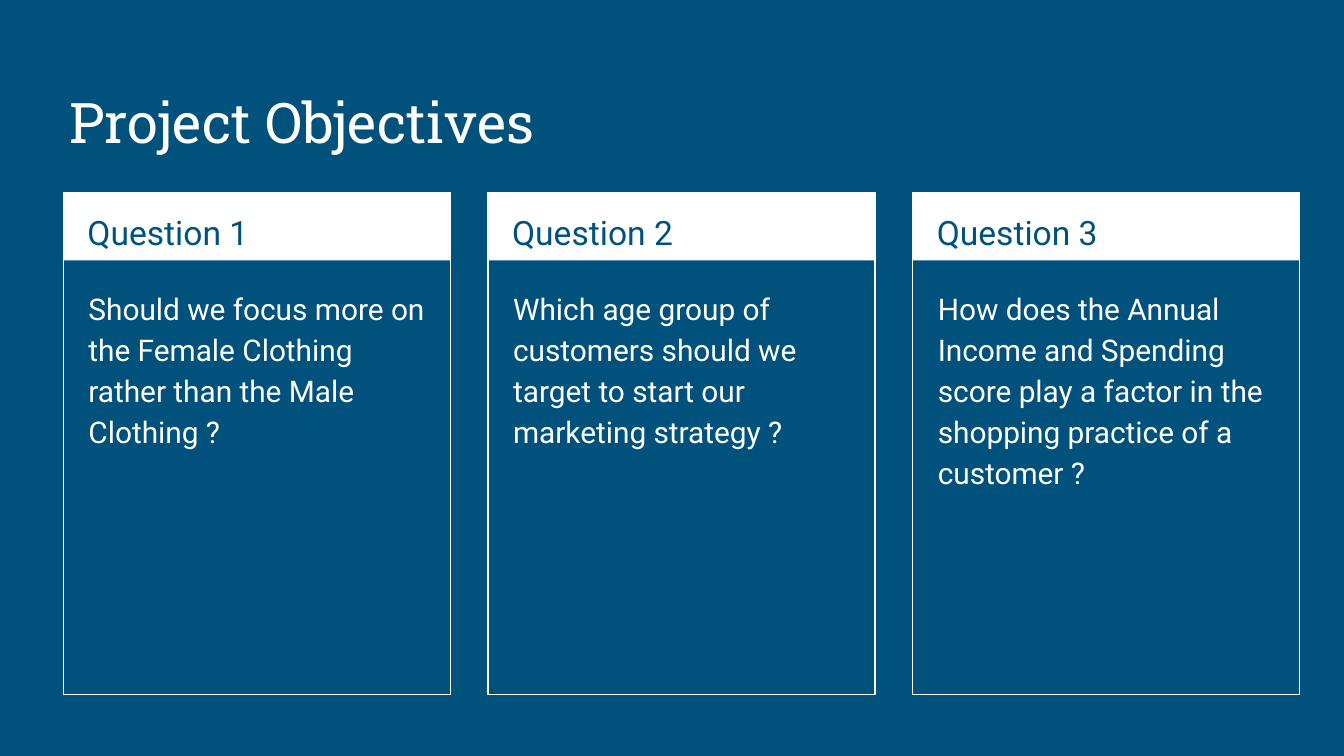
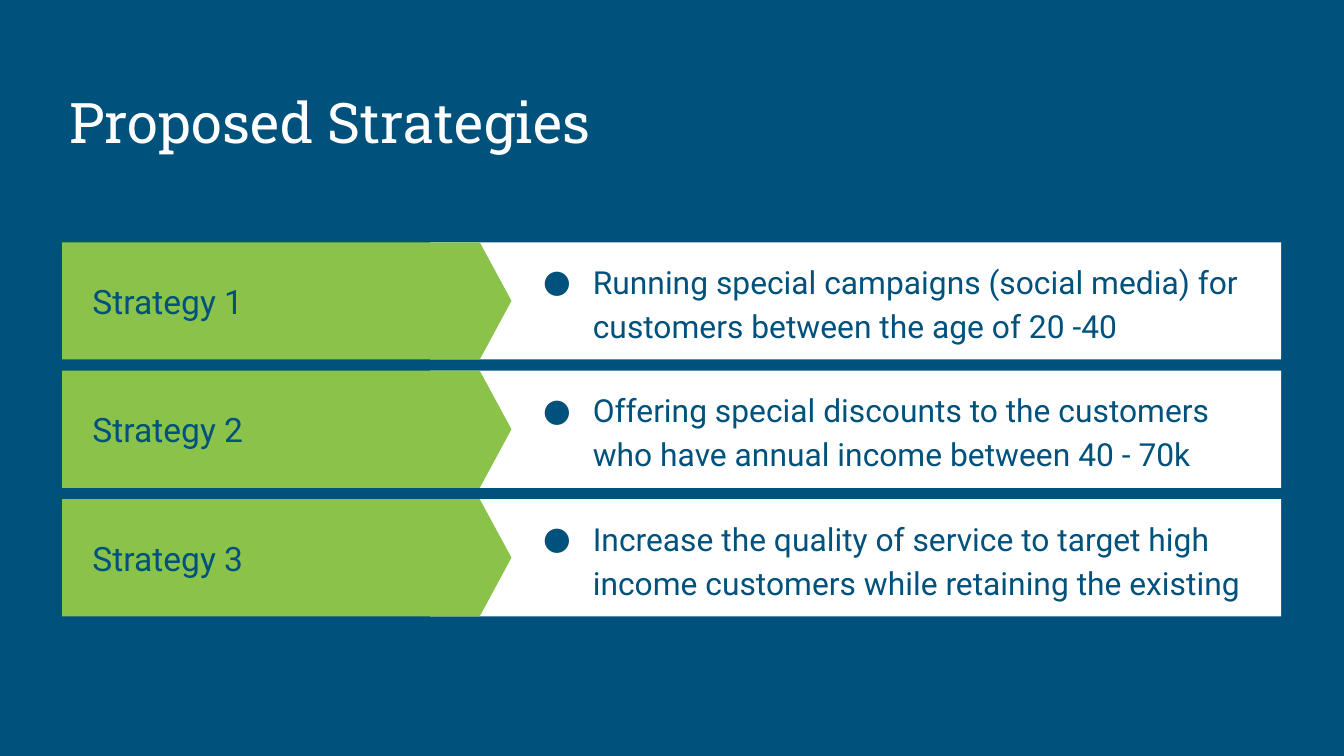
from lxml import etree
from pptx import Presentation
from pptx import util as u
from pptx.dml.color import RGBColor
from pptx.enum import shapes, text
from pptx.oxml import ns

Pt = u.Pt
NAVY, WHITE, GREEN = "00517C", "FFFFFF", "8BC34A"
HEAD_FONT, BODY_FONT = "Roboto Slab", "Roboto"
TOP, MIDDLE, BOTTOM = (text.MSO_ANCHOR.TOP, text.MSO_ANCHOR.MIDDLE,
                       text.MSO_ANCHOR.BOTTOM)


def rgb(value):
    return RGBColor.from_string(value)


class Deck:
    """Holds the shared style and the slide being built."""

    def __init__(self):
        self.prs = Presentation()
        self.prs.slide_width, self.prs.slide_height = Pt(720), Pt(405)
        fill = self.prs.slide_master.background.fill
        fill.solid()
        fill.fore_color.rgb = rgb(NAVY)

    def new_slide(self, title):
        layout = self.prs.slide_layouts.get_by_name("Comparison")
        self.s = self.prs.slides.add_slide(layout)
        self.bodies = [ph for ph in self.s.placeholders
                       if ph.placeholder_format.idx > 0]
        self.set_text(self.s.shapes.title, (30, 36, 659, 54), title, 30, WHITE,
                      font=HEAD_FONT, anchor=BOTTOM)

    def set_text(self, sp, box, words, size, color, font=BODY_FONT, anchor=TOP,
                 spacing=1.0, after=0, bullet=False):
        sp.left, sp.top, sp.width, sp.height = map(Pt, box)
        tf = sp.text_frame
        tf.word_wrap = True
        tf.auto_size = text.MSO_AUTO_SIZE.NONE
        tf.vertical_anchor = anchor
        tf.margin_left = tf.margin_right = Pt(7.2)
        tf.margin_top = tf.margin_bottom = Pt(7.2)
        p = tf.paragraphs[0]
        p.alignment = text.PP_ALIGN.LEFT
        p.line_spacing = spacing
        p.space_before, p.space_after = Pt(0), Pt(after)
        self.set_bullet(p, bullet, color)
        r = p.add_run()
        r.text = words
        r.font.name, r.font.size, r.font.bold = font, Pt(size), False
        r.font.color.rgb = rgb(color)

    def set_bullet(self, p, bullet, color):
        pPr = p._p.get_or_add_pPr()
        pPr.set("marL", str(Pt(36 if bullet else 0)))
        pPr.set("indent", str(Pt(-26.6 if bullet else 0)))
        if bullet:
            clr = etree.SubElement(pPr, ns.qn("a:buClr"))
            etree.SubElement(clr, ns.qn("a:srgbClr"), val=color)
            etree.SubElement(pPr, ns.qn("a:buFont"), typeface=BODY_FONT)
            etree.SubElement(pPr, ns.qn("a:buChar"), char="●")
        else:
            etree.SubElement(pPr, ns.qn("a:buNone"))

    def label(self, box, words, **style):
        sp = self.s.shapes.add_textbox(*map(Pt, box))
        self.set_text(sp, box, words, 18, NAVY, **style)

    def body(self, box, words, size, color, **style):
        sp = self.bodies.pop(0)
        sp.element.getparent().append(sp.element)  # bring to front
        self.set_text(sp, box, words, size, color, spacing=1.15, **style)

    def group(self):
        return self.s.shapes.add_group_shape()

    def shape(self, group, kind, box, fill=None, line=None):
        sp = group.shapes.add_shape(kind, *map(Pt, box))
        sp.shadow.inherit = False
        if fill:
            sp.fill.solid()
            sp.fill.fore_color.rgb = rgb(fill)
        else:
            sp.fill.background()
        if line:
            sp.line.color.rgb = rgb(line)
            sp.line.width = Pt(0.75)
        else:
            sp.line.fill.background()
        return sp

    def drop_unused(self):
        for ph in self.bodies:
            ph.element.getparent().remove(ph.element)


def objectives(deck):
    rect = shapes.MSO_SHAPE.RECTANGLE
    questions = [
        "Should we focus more on the Female Clothing rather than the Male Clothing ?",
        "Which age group of customers should we target to start our marketing strategy ?",
        "How does the Annual Income and Spending score play a factor in the shopping "
        "practice of a customer ?",
    ]
    top, width, pitch = 103, 207.3, 227.5
    deck.new_slide("Project Objectives")
    for i, question in enumerate(questions):
        x = 34 + i * pitch
        # Card: header band and frame
        card = deck.group()
        deck.shape(card, rect, (x, top, width, 36.5), fill=WHITE)
        deck.shape(card, rect, (x, top, width, 269), line=WHITE)
        # Card text
        deck.label((x + 5.8, top, 196.5, 36), f"Question {i + 1}", spacing=1.15)
        deck.body((x + 6.2, 145.5, 195, 220.5), question, 16, WHITE, after=12)
    deck.drop_unused()


def strategies(deck):
    kinds = shapes.MSO_SHAPE
    actions = [
        "Running special campaigns (social media) for customers between the age of 20 -40",
        "Offering special discounts to the customers who have annual income between 40 - 70k",
        "Increase the quality of service to target high income customers while retaining "
        "the existing",
    ]
    height, pitch = 62.8, 68.8
    deck.new_slide("Proposed Strategies")
    for i, action in enumerate(actions):
        y = 129.8 + i * pitch
        # Row: white bar under a green arrow
        row = deck.group()
        deck.shape(row, kinds.RECTANGLE, (230.4, y, 456, height), fill=WHITE)
        arrow = deck.shape(row, kinds.PENTAGON, (33.3, y, 240.7, height), fill=GREEN)
        arrow.adjustments[0] = 0.27
        # Row text
        deck.label((42.5, y, 191, height), f"Strategy {i + 1}", anchor=MIDDLE)
        deck.body((274.4, y, 402.5, height), action, 17, NAVY,
                  anchor=MIDDLE, bullet=True)
    deck.drop_unused()


def main():
    deck = Deck()
    objectives(deck)
    strategies(deck)
    deck.prs.save("out.pptx")


if __name__ == "__main__":
    main()
